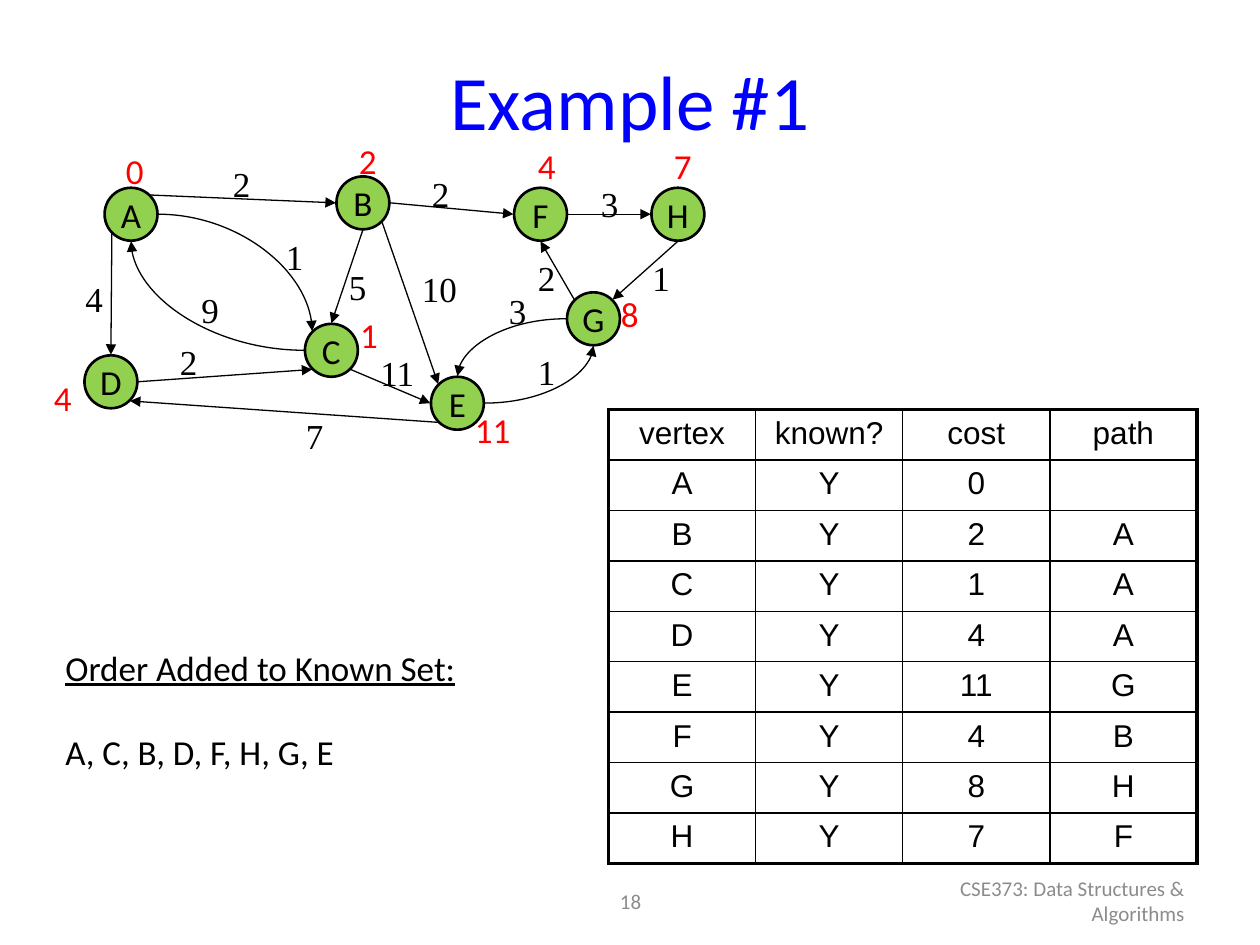
from lxml import etree
from pptx import Presentation, util as u
from pptx.dml.color import RGBColor
from pptx.enum import shapes, text
from pptx.oxml.ns import qn

COLORS = {"title": "0000FF", "ink": "000000", "cost": "FF0000",
          "vertex": "92D050", "footer": "8C8C8C"}
DIAMETER = 0.42
REACH = 0.215  # from a vertex centre to where its edges end
DIAGONAL = REACH * 0.5 ** 0.5
SIDES = {"N": (0, -REACH), "S": (0, REACH), "W": (-REACH, 0), "E": (REACH, 0),
         "NW": (-DIAGONAL, -DIAGONAL), "NE": (DIAGONAL, -DIAGONAL),
         "SW": (-DIAGONAL, DIAGONAL), "SE": (DIAGONAL, DIAGONAL)}

# vertex: (centre, cost, cost label corner)
VERTICES = {
    "A": ((1.04, 1.7), "0", (0.9, 1.14)),
    "B": ((2.88, 1.61), "2", (2.75, 1.06)),
    "D": ((0.88, 3.03), "4", (0.33, 2.94)),
    "C": ((2.63, 2.78), "1", (2.76, 2.44)),
    "F": ((4.29, 1.7), "4", (4.17, 1.1)),
    "H": ((5.38, 1.7), "7", (5.25, 1.1)),
    "E": ((3.63, 3.2), "11", (3.67, 3.19)),
    "G": ((4.71, 2.53), "8", (4.83, 2.27)),
}
# (from, side, to, side, weight, weight label corner)
CURVED_EDGES = [
    ("A", "E", "C", "NW", "1", (2.17, 1.82)),
    ("C", "W", "A", "S", "9", (1.5, 2.24)),
    ("G", "W", "E", "N", "3", (3.94, 2.25)),
    ("E", "E", "G", "S", "1", (4.17, 2.73)),
]
STRAIGHT_EDGES = [
    ("A", "SW", "D", "N", "4", (0.58, 2.15)),
    ("D", "E", "C", "SW", "2", (1.33, 2.65)),
    ("A", "NE", "B", "W", "2", (1.75, 1.24)),
    ("B", "E", "F", "W", "2", (3.33, 1.32)),
    ("F", "E", "H", "W", "3", (4.67, 1.4)),
    ("G", "NW", "F", "S", "2", (4.17, 1.99)),
    ("H", "S", "G", "NE", "1", (5.08, 1.99)),
    ("B", "SE", "E", "NW", "10", (3.25, 2.07)),
    ("B", "S", "C", "N", "5", (2.67, 2.06)),
    ("C", "SE", "E", "W", "11", (2.92, 2.74)),
    ("E", "SW", "D", "SE", "7", (2.33, 3.24)),
]
TABLE = [
    ("vertex", "known?", "cost", "path"),
    ("A", "Y", "0", ""),
    ("B", "Y", "2", "A"),
    ("C", "Y", "1", "A"),
    ("D", "Y", "4", "A"),
    ("E", "Y", "11", "G"),
    ("F", "Y", "4", "B"),
    ("G", "Y", "8", "H"),
    ("H", "Y", "7", "F"),
]
ORDER = ["Order Added to Known Set:", "A, C, B, D, F, H, G, E"]


def rgb(name):
    return RGBColor.from_string(COLORS[name])


def inches(*values):
    return [u.Inches(v) for v in values]


def style(p, size, color, font="Calibri", align=None):
    p.font.size, p.font.name = u.Pt(size), font
    p.font.color.rgb = rgb(color)
    p.alignment = align


def add_text(slide, box, lines, size, color, font="Calibri", align=None, wrap=False):
    tf = slide.shapes.add_textbox(*inches(*box)).text_frame
    tf.word_wrap = wrap
    if wrap:
        tf.vertical_anchor = text.MSO_ANCHOR.MIDDLE
    else:
        tf.auto_size = text.MSO_AUTO_SIZE.SHAPE_TO_FIT_TEXT
    tf.text = "\n".join(lines)
    for p in tf.paragraphs:
        style(p, size, color, font, align)
    return tf


def add_label(slide, corner, label, color, font="Calibri"):
    width = 0.2 + 0.14 * len(label)
    add_text(slide, (*corner, width, 0.44), [label], 20, color, font)


def add_vertex(slide, name, center):
    x, y = (c - DIAMETER / 2 for c in center)
    sp = slide.shapes.add_shape(shapes.MSO_SHAPE.OVAL, *inches(x, y, DIAMETER, DIAMETER))
    sp.shadow.inherit = False
    sp.fill.solid()
    sp.fill.fore_color.rgb = rgb("vertex")
    sp.line.color.rgb = rgb("ink")
    sp.line.width = u.Pt(1.5)
    tf = sp.text_frame
    tf.word_wrap = False
    tf.vertical_anchor = text.MSO_ANCHOR.MIDDLE
    tf.text = name
    style(tf.paragraphs[0], 20, "ink", align=text.PP_ALIGN.CENTER)


def add_edge(slide, start, start_side, end, end_side, curved):
    ends = [c + d for name, side in ((start, start_side), (end, end_side))
            for c, d in zip(VERTICES[name][0], SIDES[side])]
    kind = shapes.MSO_CONNECTOR.CURVE if curved else shapes.MSO_CONNECTOR.STRAIGHT
    line = slide.shapes.add_connector(kind, *inches(*ends))
    line.line.color.rgb = rgb("ink")
    line.line.width = u.Pt(0.75)
    pr = line._element.spPr
    etree.SubElement(pr.find(qn("a:ln")), qn("a:tailEnd"), type="triangle")
    etree.SubElement(pr, qn("a:effectLst"))
    if curved:
        make_quarter_turn(pr)


def make_quarter_turn(pr):
    """Leave horizontally and arrive vertically; leftward curves are turned by 180 degrees."""
    pr.find(qn("a:prstGeom")).set("prst", "curvedConnector2")
    xfrm = pr.find(qn("a:xfrm"))
    if xfrm.flipH:
        xfrm.flipH, xfrm.flipV = False, not xfrm.flipV
        xfrm.set("rot", "10800000")


def set_borders(cell, outer):
    """Draw all four borders, thicker on the sides flagged in outer."""
    pr = cell._tc.get_or_add_tcPr()
    for side, thick in zip("LRTB", outer):
        ln = etree.SubElement(pr, qn(f"a:ln{side}"), w=str(u.Pt(2.25 if thick else 1)))
        fill = etree.SubElement(ln, qn("a:solidFill"))
        etree.SubElement(fill, qn("a:srgbClr"), val=COLORS["ink"])


def add_cost_table(slide):
    rows, cols = len(TABLE), len(TABLE[0])
    table = slide.shapes.add_table(rows, cols, *inches(4.83, 3.25, 4.67, 0.4 * rows)).table
    table.first_row = table.horz_banding = False
    for i, row in enumerate(TABLE):
        for j, value in enumerate(row):
            cell = table.cell(i, j)
            set_borders(cell, (j == 0, j == cols - 1, i == 0, i == rows - 1))
            cell.fill.background()
            cell.text = value
            style(cell.text_frame.paragraphs[0], 18, "ink", "Arial", text.PP_ALIGN.CENTER)


def main():
    prs = Presentation()
    prs.slide_width, prs.slide_height = inches(10, 7.5)
    slide = prs.slides.add_slide(prs.slide_layouts[5])

    title = slide.shapes.title
    title.left, title.top, title.width, title.height = inches(0.75, 0.17, 8.5, 1.25)
    title.text_frame.text = "Example #1"
    style(title.text_frame.paragraphs[0], 44, "title", align=text.PP_ALIGN.CENTER)

    add_text(slide, (3.42, 6.95, 3.17, 0.4), ["18"], 12, "footer",
             align=text.PP_ALIGN.CENTER, wrap=True)
    add_text(slide, (7.17, 6.95, 2.33, 0.4), ["CSE373: Data Structures & Algorithms"],
             12, "footer", align=text.PP_ALIGN.RIGHT, wrap=True)

    for name, (center, _, _) in VERTICES.items():
        add_vertex(slide, name, center)
    for edges, curved in ((CURVED_EDGES, True), (STRAIGHT_EDGES, False)):
        for *ends, weight, corner in edges:
            add_edge(slide, *ends, curved)
            add_label(slide, corner, weight, "ink", "Times New Roman")
    for _, cost, corner in VERTICES.values():
        add_label(slide, corner, cost, "cost")

    add_cost_table(slide)
    heading, order = add_text(slide, (0.42, 5.08, 3.61, 1.11), ORDER, 20, "ink").paragraphs
    heading.font.underline = True
    order.space_before = u.Pt(24)
    prs.save("out.pptx")


if __name__ == "__main__":
    main()
